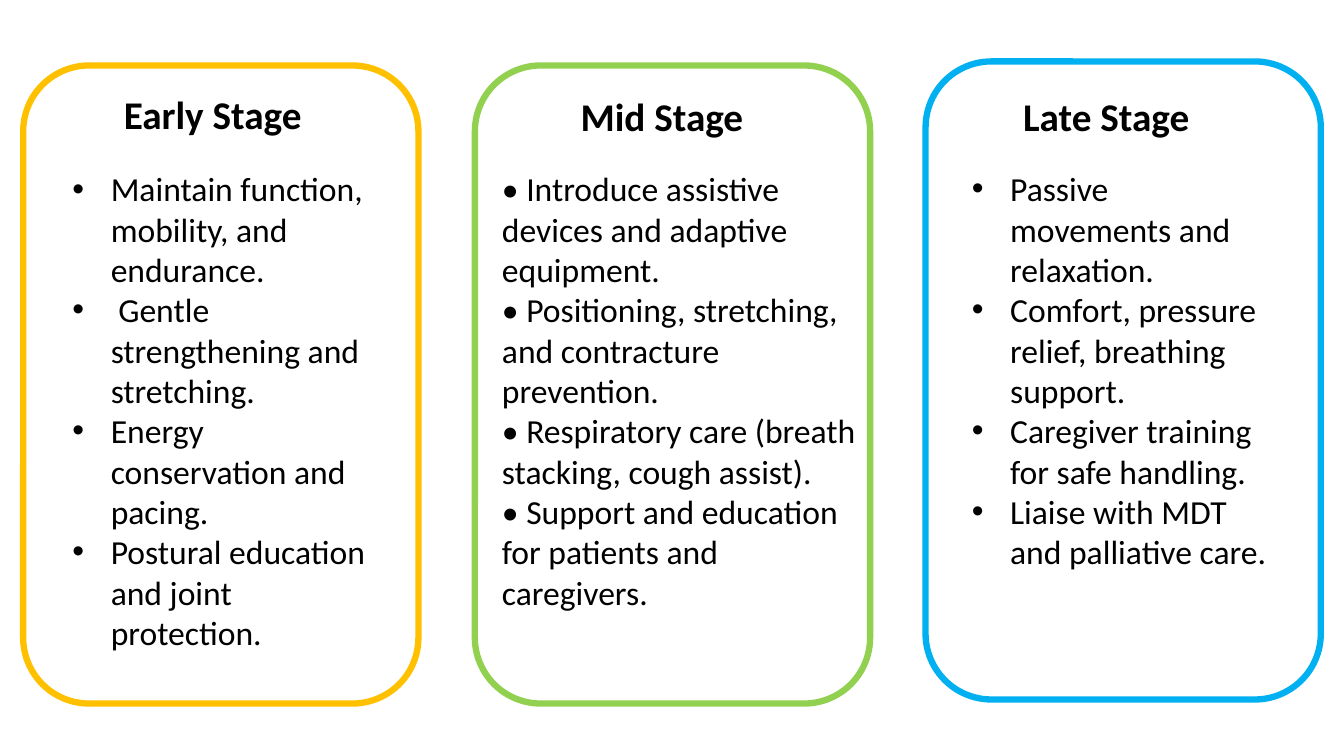
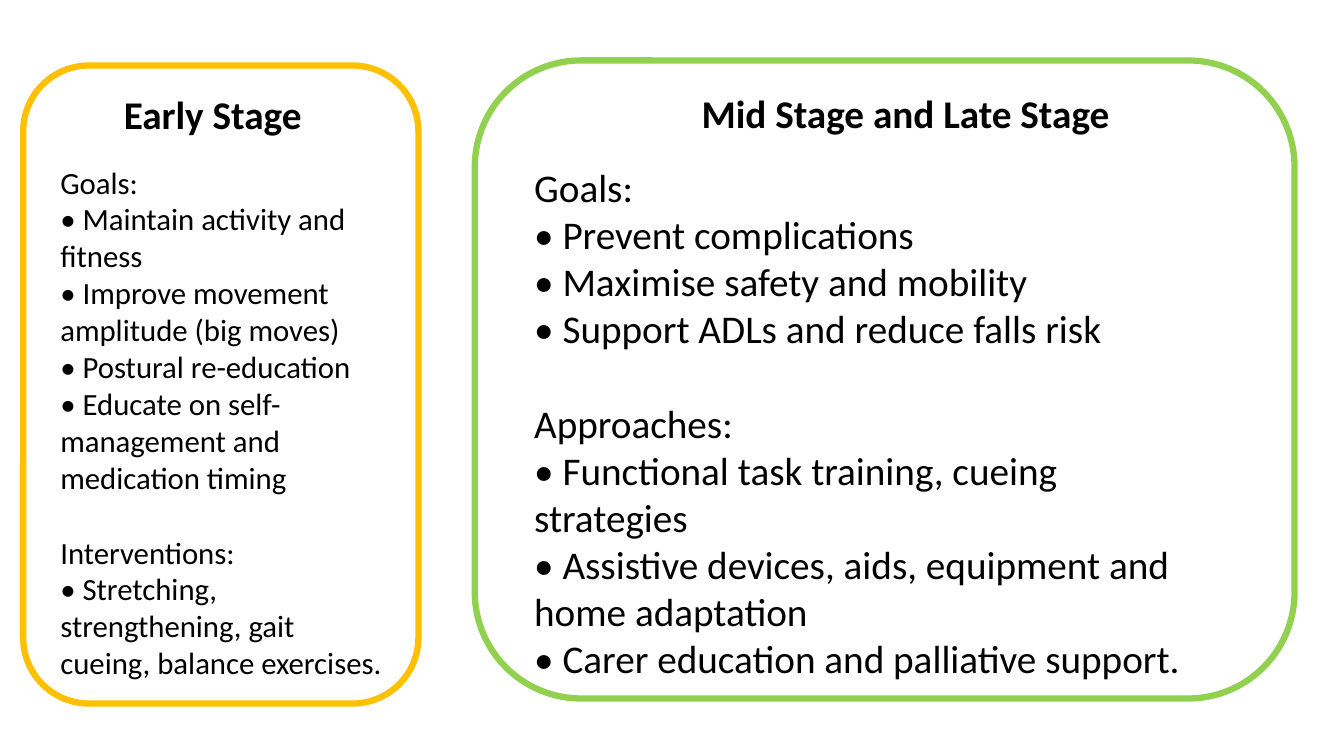
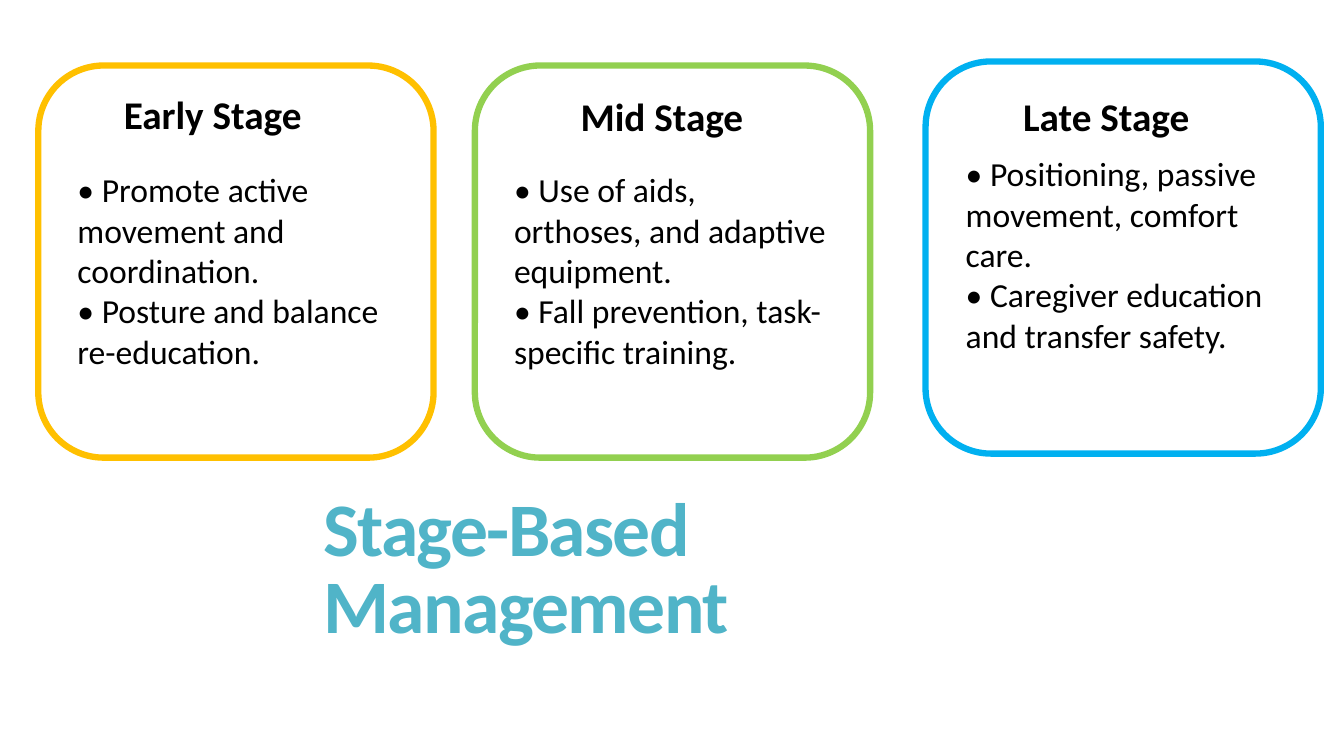
import pptx
import pptx.util
import pptx.dml.color
import pptx.enum.shapes
import pptx.enum.text
import pptx.oxml.ns
import lxml.etree

FACE = "Calibri"
BLACK, TEAL = "000000", "50B4C8"
GOLD, LIME, SKY = "FFC000", "92D050", "00B0F0"
LEFT, MID, RIGHT = 0.23, 4.71, 9.18
TOP, RISE, WIDE = 0.65, 0.61, 3.92
TALL, SHORT = 6.33, 3.89
LEAD = 1.22
HANG = 0.38

EARLY = ("Early Stage", (1.13, 0.85, 2.63, 0.57))
MIDDLE = ("Mid Stage", (5.66, 0.87, 2.63, 0.57))
LATE = ("Late Stage", (10.05, 0.87, 2.63, 0.57))
BOTH = ("Mid Stage and Late Stage", (6.86, 0.84, 4.47, 0.57))

DECK = [
    {"cards": [
        {"hue": GOLD, "frame": (LEFT, TOP, WIDE, TALL), "head": EARLY,
         "area": (0.62, 1.62, 3.15, 5.35), "size": 24, "hang": True,
         "items": ["Maintain function, mobility, and endurance.",
                   " Gentle strengthening and stretching.",
                   "Energy conservation and pacing.",
                   "Postural education and joint protection."]},
        {"hue": LIME, "frame": (MID, TOP, WIDE, TALL), "head": MIDDLE,
         "area": (4.88, 1.62, 3.75, 4.54), "size": 24,
         "items": ["• Introduce assistive devices and adaptive equipment.",
                   "• Positioning, stretching, and contracture prevention.",
                   "• Respiratory care (breath stacking, cough assist).",
                   "• Support and education for patients and caregivers."]},
        {"hue": SKY, "frame": (RIGHT, RISE, WIDE, TALL), "head": LATE,
         "area": (9.54, 1.62, 3.15, 4.14), "size": 24, "hang": True,
         "items": ["Passive movements and relaxation.",
                   "Comfort, pressure relief, breathing support.",
                   "Caregiver training for safe handling.",
                   "Liaise with MDT and palliative care."]},
    ]},
    {"cards": [
        {"hue": GOLD, "frame": (LEFT, TOP, WIDE, TALL), "head": EARLY,
         "area": (0.5, 1.57, 3.42, 5.28), "size": 22,
         "items": ["Goals:",
                   "• Maintain activity and fitness",
                   "• Improve movement amplitude (big moves)",
                   "• Postural re-education",
                   "• Educate on self-management and medication timing",
                   "Interventions:",
                   "• Stretching, strengthening, gait cueing, balance exercises."]},
        {"hue": LIME, "frame": (MID, 0.6, 8.13, TALL), "head": BOTH,
         "area": (5.2, 1.57, 6.93, 4.81), "size": 28,
         "items": ["Goals:",
                   "• Prevent complications",
                   "• Maximise safety and mobility",
                   "• Support ADLs and reduce falls risk",
                   "Approaches:",
                   "• Functional task training, cueing strategies",
                   "• Assistive devices, aids, equipment and home adaptation",
                   "• Carer education and palliative support."]},
    ]},
    {"cards": [
        {"hue": GOLD, "frame": (0.38, TOP, WIDE, SHORT), "head": EARLY,
         "area": (0.67, 1.63, 3.33, 2.12), "size": 24,
         "items": ["• Promote active movement and coordination.",
                   "• Posture and balance re-education."]},
        {"hue": LIME, "frame": (MID, TOP, WIDE, SHORT), "head": MIDDLE,
         "area": (5, 1.63, 3.33, 2.12), "size": 24,
         "items": ["• Use of aids, orthoses, and adaptive equipment.",
                   "• Fall prevention, task-specific training."]},
        {"hue": SKY, "frame": (RIGHT, RISE, WIDE, SHORT), "head": LATE,
         "area": (9.48, 1.47, 3.48, 2.12), "size": 24,
         "items": ["• Positioning, passive movement, comfort care.",
                   "• Caregiver education and transfer safety."]},
    ], "title": ("Stage-Based Management", (3.11, 4.86, 7.74, 1.81))},
]


def paint(code):
    return pptx.dml.color.RGBColor.from_string(code)


def place(box):
    return [pptx.util.Inches(n) for n in box]


def apply(item, style):
    for key, value in style.items():
        setattr(item, key, value)


def bullet(para):
    props = para._p.get_or_add_pPr()
    inset = pptx.util.Inches(HANG)
    props.set("marL", str(inset))
    props.set("indent", str(-inset))
    name = pptx.oxml.ns.qn
    lxml.etree.SubElement(props, name("a:buFont")).set("typeface", "Arial")
    lxml.etree.SubElement(props, name("a:buChar")).set("char", "•")


def write(slide, box, items, size, bold=False, hue=BLACK, hang=False, grow=True):
    frame = slide.shapes.add_textbox(*place(box)).text_frame
    fit = pptx.enum.text.MSO_AUTO_SIZE
    apply(frame, {
        "word_wrap": True,
        "auto_size": fit.SHAPE_TO_FIT_TEXT if grow else fit.NONE,
    })
    for i, text in enumerate(items):
        para = frame.paragraphs[0] if i == 0 else frame.add_paragraph()
        if i and text.endswith(":"):
            para.space_before = pptx.util.Pt(round(size * LEAD, 1))
        if hang:
            bullet(para)
        run = para.add_run()
        run.text = text
        apply(run.font, {"name": FACE, "size": pptx.util.Pt(size), "bold": bold})
        run.font.color.rgb = paint(hue)
    return frame


def outline(slide, box, hue):
    kind = pptx.enum.shapes.MSO_SHAPE.ROUNDED_RECTANGLE
    card = slide.shapes.add_shape(kind, *place(box))
    card.shadow.inherit = False
    card.fill.background()
    card.line.color.rgb = paint(hue)
    card.line.width = pptx.util.Pt(4.5)


def banner(slide, text, box):
    frame = write(slide, box, [text], 54, bold=True, hue=TEAL, grow=False)
    para = frame.paragraphs[0]
    para.line_spacing = 0.85
    para.runs[0]._r.get_or_add_rPr().set("spc", "-120")


def main():
    deck = pptx.Presentation()
    apply(deck, {"slide_width": pptx.util.Inches(13.33),
                 "slide_height": pptx.util.Inches(7.5)})
    for page in DECK:
        slide = deck.slides.add_slide(deck.slide_layouts[6])
        for card in page["cards"]:
            outline(slide, card["frame"], card["hue"])
            head, spot = card["head"]
            write(slide, spot, [head], 28, bold=True)
            write(slide, card["area"], card["items"], card["size"],
                  hang=card.get("hang", False))
        if "title" in page:
            banner(slide, *page["title"])
    deck.save("out.pptx")


if __name__ == "__main__":
    main()
